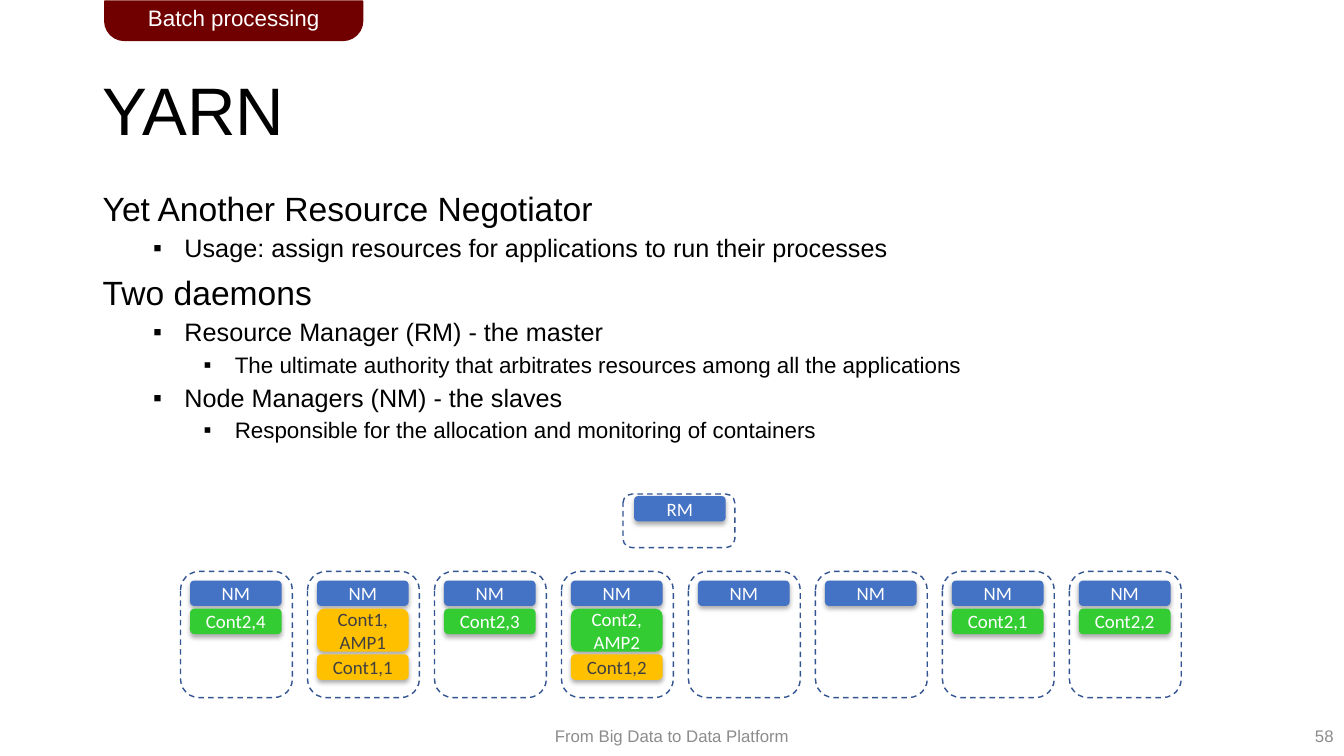
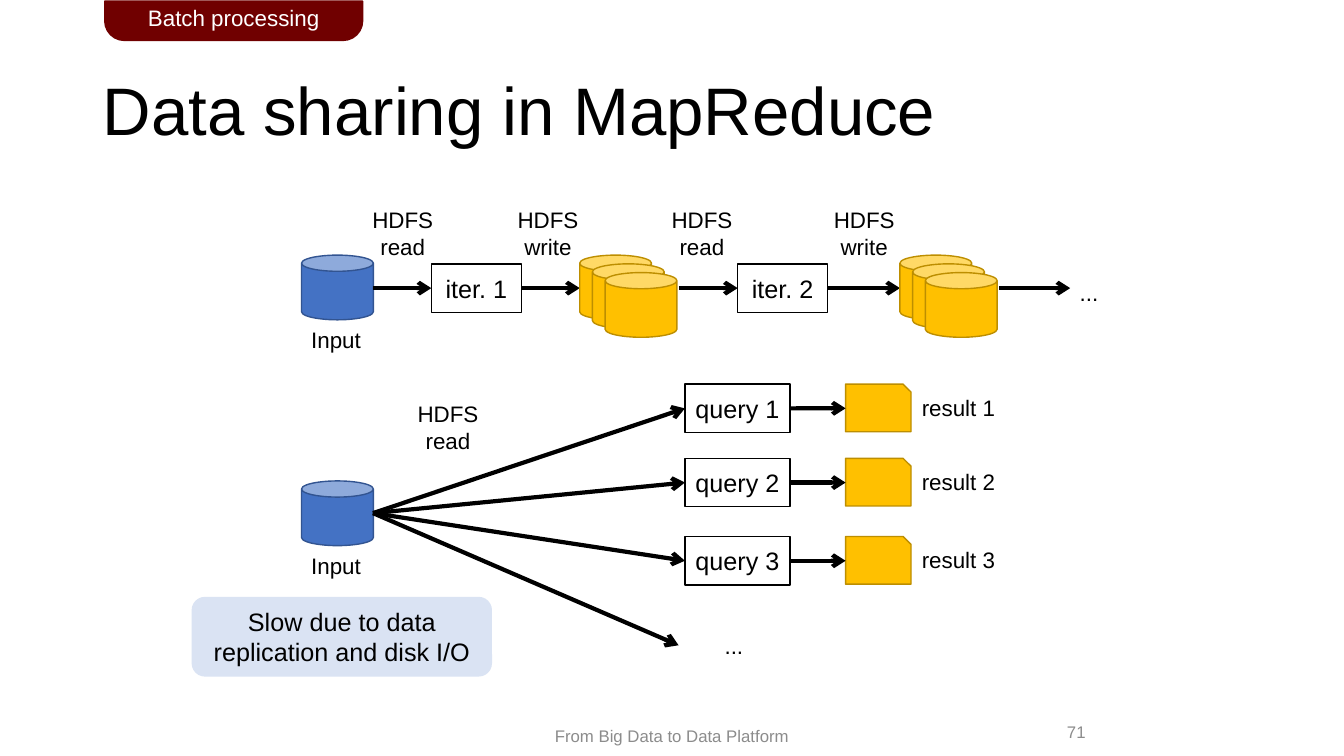
from lxml.etree import SubElement
from pptx import Presentation
from pptx.dml.color import RGBColor
from pptx.enum.dml import MSO_LINE
from pptx.enum.shapes import MSO_CONNECTOR, MSO_SHAPE
from pptx.enum.text import MSO_ANCHOR, MSO_AUTO_SIZE, PP_ALIGN
from pptx.oxml.ns import qn
from pptx.util import Cm, Pt

COLORS = {
    "black": "000000", "white": "FFFFFF", "gray": "8C8C8C", "dark": "404040",
    "maroon": "700000", "blue": "4472C4", "navy": "325491", "pale": "DAE3F3",
    "green": "33CC33", "gold": "FFC000", "brown": "BD8E00",
}


def color(name):
    return RGBColor.from_string(COLORS[name])


class Deck:
    def __init__(self):
        self.show = Presentation()
        self.show.slide_width, self.show.slide_height = Cm(33.87), Cm(19.05)
        self.slide = None

    def page(self, title, number, place):
        """Start a slide with its title, section tab, footer and page number."""
        self.slide = self.show.slides.add_slide(self.show.slide_layouts[5])
        head = self.slide.shapes.title
        head.left, head.top, head.width, head.height = map(
            Cm, (2.34, 1.02, 29.21, 3.68))
        self.label(head, title, 48, align=PP_ALIGN.LEFT)
        head.text_frame.paragraphs[0].line_spacing = 0.9
        self.text((12.17, 18.03, 9.53, 1.02), "From Big Data to Data Platform",
                  12, "gray", anchor=MSO_ANCHOR.MIDDLE)
        self.text(place, number, 12, "gray", PP_ALIGN.RIGHT, MSO_ANCHOR.MIDDLE)
        tab = self.shape(MSO_SHAPE.ROUND_2_SAME_RECTANGLE,
                         (2.64, 0.03, 6.5, 0.99), "maroon", "maroon",
                         "Batch processing", 16, "white")
        tab.adjustments[0], tab.adjustments[1] = 0, 0.5

    def label(self, shape, text, size, ink="black", align=PP_ALIGN.CENTER,
              anchor=MSO_ANCHOR.MIDDLE, font="Arial", wrap=True):
        """Set and format the text of a shape."""
        frame = shape.text_frame
        frame.word_wrap = wrap
        frame.auto_size = MSO_AUTO_SIZE.NONE
        frame.vertical_anchor = anchor
        para = frame.paragraphs[0]
        para.text = text
        para.alignment = align
        self.style(para, size, ink, font)

    def style(self, para, size, ink="black", font="Arial"):
        for run in para.runs:
            run.font.size = Pt(size)
            run.font.name = font
            run.font.color.rgb = color(ink)

    def text(self, box, text, size=16, ink="black", align=PP_ALIGN.CENTER,
             anchor=MSO_ANCHOR.TOP, wrap=False):
        shape = self.slide.shapes.add_textbox(*map(Cm, box))
        self.label(shape, text, size, ink, align, anchor, wrap=wrap)

    def shape(self, kind, box, fill=None, line=None, text="", size=18,
              ink="black", font="Arial"):
        shape = self.slide.shapes.add_shape(kind, *map(Cm, box))
        shape.shadow.inherit = False
        if fill:
            shape.fill.solid()
            shape.fill.fore_color.rgb = color(fill)
        else:
            shape.fill.background()
        if line:
            shape.line.color.rgb = color(line)
            shape.line.width = Pt(1)
        else:
            shape.line.fill.background()
        if text:
            self.label(shape, text, size, ink, font=font)
        return shape

    def frame(self, *box):
        """Draw the dashed outline of a machine."""
        shape = self.shape(MSO_SHAPE.ROUNDED_RECTANGLE, box, line="navy")
        shape.line.dash_style = MSO_LINE.DASH

    def task(self, left, top, text, fill="blue", high=0.64):
        """Draw a shaded process box."""
        ink = "dark" if fill == "gold" else "white"
        shape = self.shape(MSO_SHAPE.ROUNDED_RECTANGLE, (left, top, 2.31, high),
                           fill, None, text, 13.5, ink, "Calibri")
        effect = shape.element.spPr.find(qn("a:effectLst"))
        shade = SubElement(effect, qn("a:outerShdw"), blurRad=str(Pt(3.5)),
                           dist=str(Pt(2.2)), dir="5400000", rotWithShape="0")
        tint = SubElement(shade, qn("a:srgbClr"), val=COLORS["black"])
        SubElement(tint, qn("a:alpha"), val="32000")

    def outline(self, box, items):
        """Add (level, text) items, with bullets below level 0."""
        shape = self.slide.shapes.add_textbox(*map(Cm, box))
        frame = shape.text_frame
        frame.word_wrap = True
        for index, (level, text) in enumerate(items):
            para = frame.add_paragraph() if index else frame.paragraphs[0]
            para.text = text
            para.level = level
            para.line_spacing = 0.9
            para.space_before = Pt((5 if level else 10) if index else 0)
            if level:
                props = para._p.get_or_add_pPr()
                props.set("marL", str(Cm(0.79 + 1.27 * level)))
                props.set("indent", str(Cm(-0.79)))
                SubElement(props, qn("a:buFont"), typeface="Arial")
                SubElement(props, qn("a:buChar"), char="▪")
            self.style(para, (24, 18, 16)[level])

    def can(self, left, top, fill="gold", line="brown"):
        self.shape(MSO_SHAPE.CAN, (left, top, 1.81, 1.63), fill, line)

    def source(self, top):
        """Draw the input store with its label."""
        self.can(7.6, top, "blue", "navy")
        self.text((7.58, top + 1.66, 1.78, 0.94), "Input")

    def box(self, left, top, wide, text):
        return self.shape(MSO_SHAPE.RECTANGLE, (left, top, wide, 1.22),
                          "white", "black", text)

    def access(self, left, top, verb):
        """Name the kind of HDFS access."""
        self.text((left, top, 2.06, 1.63), f"HDFS\n{verb}")

    def arrow(self, start, end, tail=None, head=None):
        """Draw an arrow, joined to the tail and head rectangles if given."""
        line = self.slide.shapes.add_connector(
            MSO_CONNECTOR.STRAIGHT, *map(Cm, (*start, *end)))
        if tail:
            line.begin_connect(tail, 3)
        if head:
            line.end_connect(head, 1)
        line.line.color.rgb = color("black")
        line.line.width = Pt(3)
        props = line.element.spPr
        SubElement(props.find(qn("a:ln")), qn("a:tailEnd"), type="arrow")
        SubElement(props, qn("a:effectLst"))


def yarn(deck):
    deck.page("YARN", "58", (26.24, 18.03, 7.62, 1.02))
    deck.outline((2.34, 4.72, 29.21, 7.2), (
        (0, "Yet Another Resource Negotiator"),
        (1, "Usage: assign resources for applications to run their processes"),
        (0, "Two daemons"),
        (1, "Resource Manager (RM) - the master"),
        (2, "The ultimate authority that arbitrates resources among all the "
            "applications"),
        (1, "Node Managers (NM) - the slaves"),
        (2, "Responsible for the allocation and monitoring of containers"),
    ))
    deck.frame(15.7, 12.45, 2.82, 1.35)
    deck.task(15.98, 12.5, "RM")

    nodes = (
        [("Cont2,4", "green")],
        [("Cont1,\nAMP1", "gold"), ("Cont1,1", "gold")],
        [("Cont2,3", "green")],
        [("Cont2,\nAMP2", "green"), ("Cont1,2", "gold")],
        [],
        [],
        [("Cont2,1", "green")],
        [("Cont2,2", "green")],
    )
    for index, tasks in enumerate(nodes):
        left, top = 4.55 + 3.2 * index, 14.4
        deck.frame(left, top, 2.82, 3.18)
        top += 0.23
        for text, fill in [("NM", "blue"), *tasks]:
            high = 1.08 if "\n" in text else 0.64
            deck.task(left + 0.24, top, text, fill, high)
            top += high + 0.07


def sharing(deck):
    deck.page("Data sharing in MapReduce", "71", (24.87, 17.93, 2.74, 1.02))

    mid, start = 7.26, 9.4
    deck.source(6.43)
    steps = ((10.87, 14.61, 9.12, 12.78), (18.59, 22.68, 16.66, 20.75))
    for number, (left, stack, fetch, store) in enumerate(steps, 1):
        step = deck.box(left, 6.65, 2.27, f"iter. {number}")
        deck.arrow((start, mid), (left, mid), head=step)
        deck.arrow((left + 2.27, mid), (stack, mid), tail=step)
        for layer in range(3):
            deck.can(stack + 0.32 * layer, 6.43 + 0.22 * layer)
        deck.access(fetch, 5.08, "read")
        deck.access(store, 5.08, "write")
        start = stack + 2.5
    deck.arrow((start, mid), (26.97, mid))
    deck.text((26.95, 6.91, 0.99, 0.94), "...")

    deck.source(12.12)
    deck.access(10.26, 9.96, "read")
    root = (9.4, 12.93)
    for number, top in enumerate((9.68, 11.55, 13.52), 1):
        mid = top + 0.61
        query = deck.box(17.26, top, 2.65, f"query {number}")
        deck.arrow(root, (17.26, mid), head=query)
        deck.shape(MSO_SHAPE.SNIP_1_RECTANGLE, (21.31, top, 1.65, 1.2),
                   "gold", "brown")
        deck.arrow((19.91, mid), (21.31, mid), tail=query)
        deck.text((22.98, top + 0.12, 2.39, 0.94), f"result {number}",
                  align=PP_ALIGN.LEFT)
    deck.arrow(root, (17.1, 16.26))
    deck.text((17.1, 15.8, 2.79, 0.94), "...")
    deck.shape(MSO_SHAPE.ROUNDED_RECTANGLE, (4.83, 15.04, 7.57, 2.01), "pale",
               text="Slow due to data replication and disk I/O")


def main():
    deck = Deck()
    yarn(deck)
    sharing(deck)
    deck.show.save("out.pptx")


if __name__ == "__main__":
    main()
